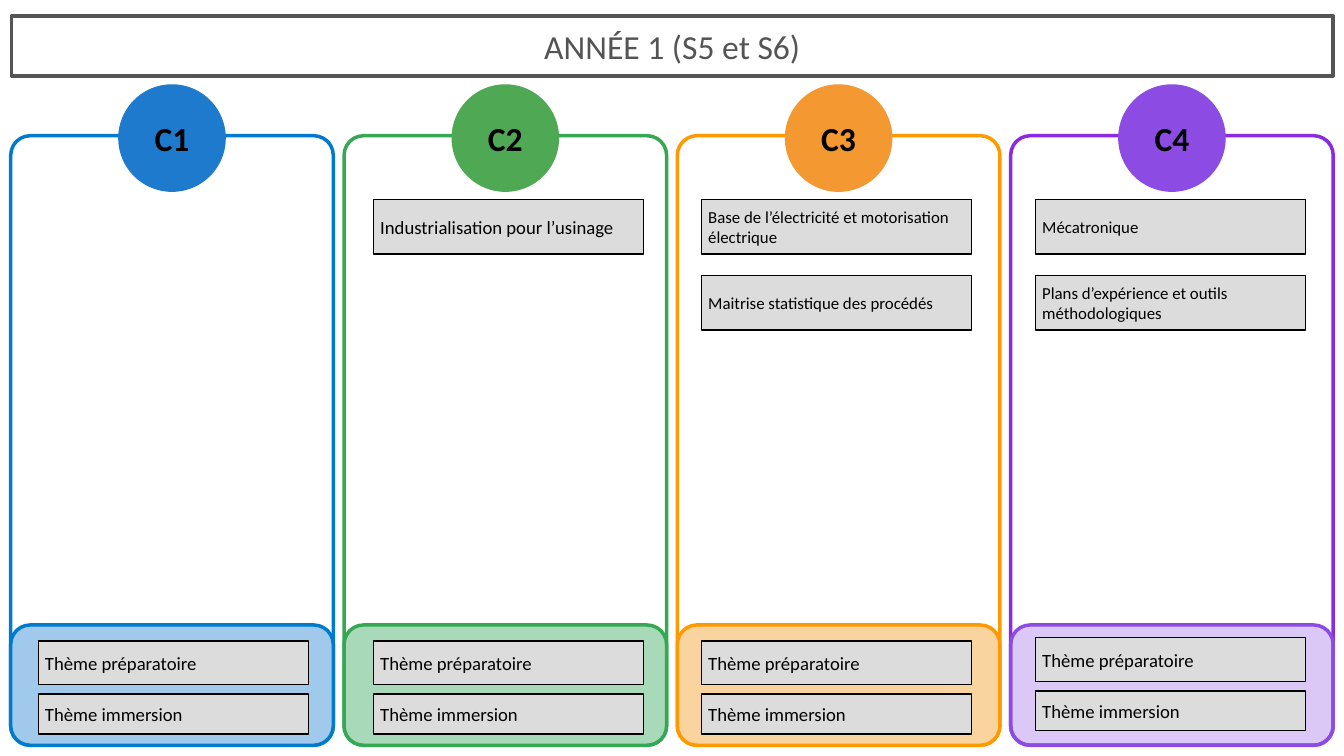
from dataclasses import dataclass

from lxml.etree import SubElement
from pptx import Presentation
from pptx.dml.color import RGBColor
from pptx.enum.shapes import MSO_SHAPE
from pptx.enum.text import MSO_ANCHOR, PP_ALIGN
from pptx.oxml.ns import qn
from pptx.util import Inches, Pt

BLACK = RGBColor(0x00, 0x00, 0x00)
TITLE_GREY = RGBColor(0x54, 0x54, 0x54)
COURSE_GREY = RGBColor(0xDD, 0xDC, 0xDC)
BLUE = RGBColor(0x00, 0x7A, 0xCC)
BLUE_DISC = RGBColor(0x1E, 0x7A, 0xCC)
BLUE_PALE = RGBColor(0xA0, 0xC9, 0xEB)
GREEN = RGBColor(0x34, 0xA8, 0x53)
GREEN_DISC = RGBColor(0x4F, 0xA9, 0x54)
GREEN_PALE = RGBColor(0xA8, 0xDA, 0xB9)
ORANGE = RGBColor(0xFF, 0x99, 0x00)
ORANGE_DISC = RGBColor(0xF4, 0x98, 0x31)
ORANGE_PALE = RGBColor(0xFA, 0xD4, 0x9E)
VIOLET = RGBColor(0x8A, 0x2B, 0xE2)
VIOLET_DISC = RGBColor(0x8C, 0x4B, 0xE2)

FIRST_LEFT, COLUMN_STEP, COLUMN_WIDTH = 0.16, 4.96, 4.8
CORNER_RADIUS = 0.29
DISC_SIZE = 1.57
COURSE_TOP, COURSE_STEP = 2.97, 1.13


@dataclass
class Competence:
    name: str
    outline: RGBColor
    disc: RGBColor
    theme_outline: RGBColor
    theme_fill: RGBColor
    box_left: float
    courses: tuple = ()
    course_size: int = 18
    theme_top: float = 9.54
    theme_opacity: int = 100


COMPETENCES = [
    Competence("C1", BLUE, BLUE_DISC, BLUE, BLUE_PALE, 0.57),
    Competence("C2", GREEN, GREEN_DISC, GREEN, GREEN_PALE, 5.56,
               ("Industrialisation pour l’usinage",), course_size=20),
    Competence("C3", ORANGE, ORANGE_DISC, ORANGE, ORANGE_PALE, 10.44,
               ("Base de l’électricité et motorisation électrique",
                "Maitrise statistique des procédés")),
    Competence("C4", VIOLET, VIOLET_DISC, VIOLET_DISC, VIOLET_DISC, 15.41,
               ("Mécatronique", "Plans d’expérience et outils méthodologiques"),
               theme_top=9.49, theme_opacity=30),
]


def write_text(shape, text, size=20, color=BLACK, bold=False,
               align=PP_ALIGN.LEFT, font="Calibri", inset=None):
    frame = shape.text_frame
    frame.word_wrap = True
    frame.vertical_anchor = MSO_ANCHOR.MIDDLE
    if inset is not None:
        frame.margin_left = frame.margin_right = Inches(inset)
        frame.margin_top = frame.margin_bottom = Inches(inset)
    paragraph = frame.paragraphs[0]
    paragraph.alignment = align
    run = paragraph.add_run()
    run.text = text
    run.font.name = font
    run.font.size = Pt(size)
    run.font.bold = bold
    run.font.color.rgb = color


class CourseMap:
    """Holds the line styles and the slide being drawn."""
    heavy_line, disc_line, box_line = 3.75, 2.25, 1.5

    def __init__(self, slide):
        self.slide = slide

    def outline(self, kind, left, top, width, height, line, weight, fill=None):
        shape = self.slide.shapes.add_shape(
            kind, Inches(left), Inches(top), Inches(width), Inches(height))
        shape.shadow.inherit = False
        shape.line.color.rgb = line
        shape.line.width = Pt(weight)
        if fill is None:
            shape.fill.background()
        else:
            shape.fill.solid()
            shape.fill.fore_color.rgb = fill
        return shape

    def banner(self, text):
        box = self.outline(MSO_SHAPE.RECTANGLE, 0.17, 0.24, 19.67, 0.89,
                           TITLE_GREY, self.heavy_line)
        write_text(box, text, size=36, color=TITLE_GREY, align=PP_ALIGN.CENTER)

    def panel(self, left, top, height, line, fill=None, opacity=100):
        panel = self.outline(MSO_SHAPE.ROUNDED_RECTANGLE, left, top, COLUMN_WIDTH,
                             height, line, self.heavy_line, fill)
        panel.adjustments[0] = CORNER_RADIUS / min(COLUMN_WIDTH, height)
        if opacity < 100:
            color = panel.fill._xPr.find(qn("a:solidFill"))[0]
            SubElement(color, qn("a:alpha"), val=str(opacity * 1000))

    def disc(self, column_left, text, color):
        left = column_left + (COLUMN_WIDTH - DISC_SIZE) / 2
        disc = self.outline(MSO_SHAPE.OVAL, left, 1.27, DISC_SIZE, DISC_SIZE,
                            color, self.disc_line, color)
        write_text(disc, text, size=36, bold=True, align=PP_ALIGN.CENTER, inset=0)

    def course(self, left, top, height, text, size=20):
        box = self.outline(MSO_SHAPE.RECTANGLE, left, top, 4.02, height,
                           BLACK, self.box_line, COURSE_GREY)
        write_text(box, text, size=size)

    def column(self, left, competence):
        # Frame and heading
        self.panel(left, 2.02, 9.07, competence.outline)
        self.disc(left, competence.name, competence.disc)

        # Courses
        for row, course in enumerate(competence.courses):
            self.course(competence.box_left, COURSE_TOP + row * COURSE_STEP, 0.81,
                        course, competence.course_size)

        # Themes at the foot
        self.panel(left, 9.3, 1.79, competence.theme_outline,
                   competence.theme_fill, competence.theme_opacity)
        top = competence.theme_top
        self.course(competence.box_left, top, 0.65, "Thème préparatoire")
        self.course(competence.box_left, top + 0.79, 0.59, "Thème immersion")


def main():
    deck = Presentation()
    deck.slide_width, deck.slide_height = Inches(20), Inches(11.25)
    course_map = CourseMap(deck.slides.add_slide(deck.slide_layouts[6]))

    course_map.banner("ANNÉE 1 (S5 et S6)")
    for index, competence in enumerate(COMPETENCES):
        course_map.column(FIRST_LEFT + index * COLUMN_STEP, competence)

    deck.save("out.pptx")


if __name__ == "__main__":
    main()
